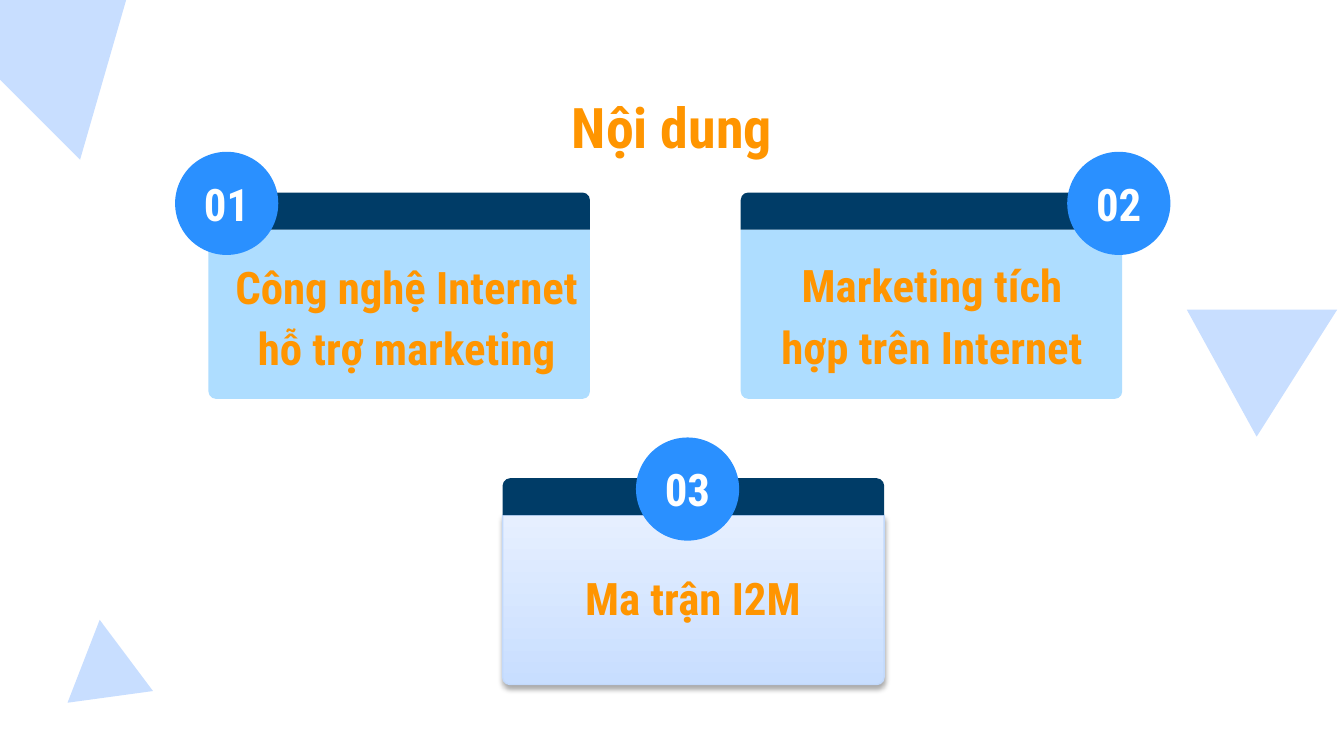
from lxml.etree import SubElement
from pptx import Presentation
from pptx.dml.color import RGBColor
from pptx.enum.shapes import MSO_SHAPE as SHAPE
from pptx.enum.text import MSO_ANCHOR as ANCHOR, PP_ALIGN as ALIGN
from pptx.oxml.ns import qn
from pptx.util import Cm, Pt

FONT = "Roboto Condensed"
ORANGE, WHITE = "FF9500", "FFFFFF"
PALE, SKY, BLUE, NAVY = "C8DEFF", "AEDDFF", "2A90FF", "003C67"
CARD_W, HEADER_H, BODY_H = 7.21, 0.7, 3.2
CORNER = 0.14
BADGE_D, BADGE_RISE = 1.95, 0.77

TRIANGLES = [  # left, top, width, height, rotation
    (22.81, 5.21, 2.74, 2.49, 61.2),
    (-1.24, -2.79, 5.16, 4.67, 45),
    (1.17, 11.71, 1.63, 1.47, 352.2),
]
CARDS = [  # number, card left, card top, badge left, label, label box, raised
    ("02", 14, 3.64, 20.17, "Marketing tích hợp trên Internet",
     (14.48, 4.47, 6.27, 1.96), False),
    ("03", 9.5, 9.04, 12.02, "Ma trận I2M",
     (9.96, 10.39, 6.27, 1.96), True),
    ("01", 3.94, 3.64, 3.31, "Công nghệ Internet hỗ trợ marketing",
     (3.94, 4.5, 7.49, 3.58), False),
]


def rgb(color):
    return RGBColor.from_string(color)


def add_shape(s, kind, box, color):
    sp = s.shapes.add_shape(kind, *map(Cm, box))
    sp.shadow.inherit = False
    sp.fill.solid()
    sp.fill.fore_color.rgb = rgb(color)
    sp.line.fill.background()
    return sp


def set_text(tf, text, size, color):
    tf.word_wrap = True
    tf.text = text
    p = tf.paragraphs[0]
    p.alignment = ALIGN.CENTER
    font = p.runs[0].font
    font.name, font.size, font.bold = FONT, Pt(size), True
    font.color.rgb = rgb(color)
    return p


def add_text(s, text, box, size):
    tf = s.shapes.add_textbox(*map(Cm, box)).text_frame
    tf.margin_left = tf.margin_right = tf.margin_top = tf.margin_bottom = Cm(0.25)
    return set_text(tf, text, size, ORANGE)


def add_badge(s, number, left, top):
    sp = add_shape(s, SHAPE.OVAL, (left, top, BADGE_D, BADGE_D), BLUE)
    tf = sp.text_frame
    tf.margin_left = tf.margin_right = tf.margin_top = tf.margin_bottom = 0
    tf.vertical_anchor = ANCHOR.MIDDLE
    set_text(tf, number, 24, WHITE)


def raise_panel(sp):
    """Give a panel a gradient, a thin outline and a soft shadow below."""
    sp.fill.gradient()
    sp.fill.gradient_angle = 90
    for stop, color in zip(sp.fill.gradient_stops, (PALE, "E6EFFF")):
        stop.color.rgb = rgb(color)
    sp.line.color.rgb = rgb("C2D9FB")
    sp.line.width = Pt(0.75)
    effects = sp._element.spPr.find(qn("a:effectLst"))
    shadow = SubElement(effects, qn("a:outerShdw"), blurRad=str(Pt(3.1)),
                        dist=str(Pt(1.8)), dir="5400000", rotWithShape="0")
    color = SubElement(shadow, qn("a:srgbClr"), val="000000")
    SubElement(color, qn("a:alpha"), val="35000")


def add_card(s, left, top, raised):
    """Draw a body rounded at the bottom under a header rounded at the top."""
    body = add_shape(s, SHAPE.ROUND_2_SAME_RECTANGLE,
                     (left, top + HEADER_H, CARD_W, BODY_H), SKY)
    body.adjustments[0], body.adjustments[1] = 0, CORNER / BODY_H
    if raised:
        raise_panel(body)
    header = add_shape(s, SHAPE.ROUND_2_SAME_RECTANGLE,
                       (left, top, CARD_W, HEADER_H), NAVY)
    header.adjustments[0] = CORNER / HEADER_H


def main():
    prs = Presentation()
    prs.slide_width, prs.slide_height = Cm(25.4), Cm(14.29)
    s = prs.slides.add_slide(prs.slide_layouts[6])
    for *box, rotation in TRIANGLES:
        add_shape(s, SHAPE.ISOSCELES_TRIANGLE, box, PALE).rotation = rotation
    add_text(s, "Nội dung", (1.98, 1.5, 21.44, 1.78), 30)
    for number, left, top, badge_left, label, label_box, raised in CARDS:
        add_card(s, left, top, raised)
        add_badge(s, number, badge_left, top - BADGE_RISE)
        p = add_text(s, label, label_box, 24)
        p.line_spacing = 1.15
        p.space_after = Pt(12)
    prs.save("out.pptx")


if __name__ == "__main__":
    main()
